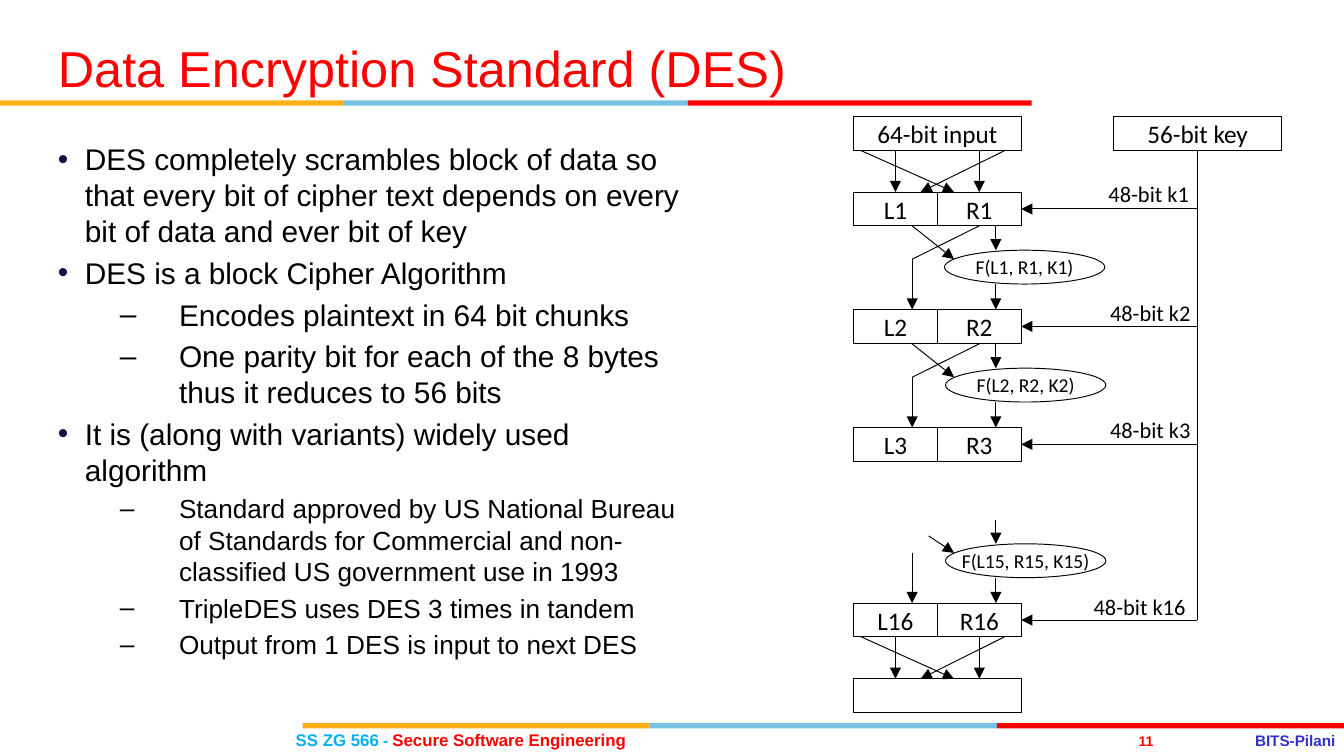
from lxml import etree
from pptx import Presentation
from pptx.dml.color import RGBColor
from pptx.enum.shapes import MSO_CONNECTOR, MSO_SHAPE
from pptx.enum.text import MSO_ANCHOR, MSO_AUTO_SIZE, PP_ALIGN
from pptx.oxml.ns import qn
from pptx.util import Cm, Pt

RECTANGLE = MSO_SHAPE.RECTANGLE
OVAL = MSO_SHAPE.OVAL
STRAIGHT = MSO_CONNECTOR.STRAIGHT
MIDDLE = MSO_ANCHOR.MIDDLE
TOP = MSO_ANCHOR.TOP
NO_FIT = MSO_AUTO_SIZE.NONE
LEFT = PP_ALIGN.LEFT
CENTER = PP_ALIGN.CENTER

BLACK = RGBColor(0x00, 0x00, 0x00)
RED = RGBColor(0xFF, 0x00, 0x00)
AMBER = RGBColor(0xFC, 0xB0, 0x17)
SKY = RGBColor(0x76, 0xC2, 0xE5)
CYAN = RGBColor(0x00, 0xB0, 0xF0)
BLUE = RGBColor(0x33, 0x33, 0xCC)
NAVY = RGBColor(0x10, 0x11, 0x41)

BOX_LEFT, BOX_WIDTH, BOX_HEIGHT = 16.13, 3.17, 0.64
HALF = BOX_WIDTH / 2
BOX_RIGHT = BOX_LEFT + BOX_WIDTH
LEFT_CENTER, RIGHT_CENTER = BOX_LEFT + HALF / 2, BOX_LEFT + HALF * 1.5
INPUT_TOP, OUTPUT_TOP = 2.21, 12.83
KEY_LEFT, KEY_X = 21.05, 22.63
LEFT_X, CROSS_X, RIGHT_X = 17.24, 18.03, 18.82
GAP, OVAL_DROP, BEND_DROP = 1.58, 0.46, 0.63

BULLETS = [
    (0, 16, "DES completely scrambles block of data so that every bit of cipher text "
            "depends on every bit of data and ever bit of key"),
    (0, 16, "DES is a block Cipher Algorithm"),
    (1, 16, "Encodes plaintext in 64 bit chunks"),
    (1, 16, "One parity bit for each of the 8 bytes thus it reduces to 56 bits"),
    (0, 16, "It is (along with variants) widely used algorithm"),
    (1, 14, "Standard approved by US National Bureau of Standards for Commercial and "
            "non-classified US government use in 1993"),
    (1, 14, "TripleDES uses DES 3 times in tandem"),
    (1, 14, "Output from 1 DES is input to next DES"),
]
LEVELS = [("•", NAVY, 0.51, -0.51), ("–", BLACK, 2.29, -1.12)]
ROUNDS = [(1, 3.63, 20.7, 3.28), (2, 5.85, 20.73, 5.53),
          (3, 8.08, 20.73, 7.75), (16, 11.4, 20.42, 11.09)]
FUNCTIONS = [(1, 5.85, 17.85), (2, 8.08, 17.87), (15, 11.4, 17.87)]


class SlideBuilder:
    text_font = "Arial"
    diagram_font = "Calibri"
    line_width = Pt(0.5)

    def __init__(self, presentation):
        self.slide = presentation.slides.add_slide(presentation.slide_layouts[1])
        self.shapes = self.slide.shapes

    def style(self, font, name, size, color, bold=False):
        font.name, font.size, font.bold = name, Pt(size), bold
        font.color.rgb = color

    def place(self, shape, left, top, width, height):
        shape.left, shape.top = Cm(left), Cm(top)
        shape.width, shape.height = Cm(width), Cm(height)

    def title(self, text):
        shape = self.shapes.title
        self.place(shape, 0.84, 0.58, 17.58, 1.57)
        frame = shape.text_frame
        frame.text = text
        frame.auto_size, frame.vertical_anchor = NO_FIT, MIDDLE
        paragraph = frame.paragraphs[0]
        paragraph.alignment, paragraph.line_spacing = LEFT, Pt(27)
        self.style(paragraph.runs[0].font, self.text_font, 27, RED)

    def bullets(self, items):
        shape = self.slide.placeholders[1]
        self.place(shape, 0.84, 2.54, 12.42, 10.62)
        frame = shape.text_frame
        frame.text = "\n".join(text for _, _, text in items)
        frame.auto_size, frame.vertical_anchor = NO_FIT, TOP
        for index, (level, size, _) in enumerate(items):
            paragraph = frame.paragraphs[index]
            mark, color, margin, indent = LEVELS[level]
            paragraph.level = level
            paragraph.line_spacing = 1.0
            paragraph.space_before = Pt(size * 0.2 if index else 0)
            properties = paragraph._p.get_or_add_pPr()
            properties.set("marL", str(Cm(margin)))
            properties.set("indent", str(Cm(indent)))
            bullet_color = etree.SubElement(properties, qn("a:buClr"))
            etree.SubElement(bullet_color, qn("a:srgbClr"), val=str(color))
            etree.SubElement(properties, qn("a:buFont"), typeface=self.text_font)
            etree.SubElement(properties, qn("a:buChar"), char=mark)
            self.style(paragraph.runs[0].font, self.text_font, size, BLACK)

    def bar(self, left, top, width, color):
        shape = self.shapes.add_shape(RECTANGLE, Cm(left), Cm(top), Cm(width), Cm(0.1))
        shape.shadow.inherit = False
        shape.fill.solid()
        shape.fill.fore_color.rgb = color
        shape.line.fill.background()

    def node(self, left, top, width, text="", size=13.5, kind=RECTANGLE):
        shape = self.shapes.add_shape(kind, Cm(left), Cm(top), Cm(width), Cm(BOX_HEIGHT))
        shape.shadow.inherit = False
        shape.fill.background()
        shape.line.color.rgb = BLACK
        shape.line.width = self.line_width
        if text:
            frame = shape.text_frame
            frame.text = text
            frame.word_wrap, frame.vertical_anchor = False, MIDDLE
            paragraph = frame.paragraphs[0]
            paragraph.alignment = CENTER
            self.style(paragraph.runs[0].font, self.diagram_font, size, BLACK)

    def line(self, x1, y1, x2, y2, arrow=True):
        connector = self.shapes.add_connector(STRAIGHT, Cm(x1), Cm(y1), Cm(x2), Cm(y2))
        connector.line.color.rgb = BLACK
        connector.line.width = self.line_width
        if arrow:
            outline = connector.line._get_or_add_ln()
            etree.SubElement(outline, qn("a:tailEnd"), type="triangle")
        etree.SubElement(connector._element.spPr, qn("a:effectLst"))

    def key_label(self, left, top, text):
        frame = self.shapes.add_textbox(Cm(left), Cm(top), Cm(2.35), Cm(0.76)).text_frame
        frame.word_wrap = False
        frame.text = text
        self.style(frame.paragraphs[0].runs[0].font, self.diagram_font, 12, BLACK)

    def footer(self, left, top, width, parts, alignment=LEFT):
        frame = self.shapes.add_textbox(Cm(left), Cm(top), Cm(width), Cm(0.36)).text_frame
        frame.margin_left = frame.margin_right = frame.margin_top = frame.margin_bottom = 0
        frame.word_wrap, frame.vertical_anchor = False, MIDDLE
        paragraph = frame.paragraphs[0]
        paragraph.alignment = alignment
        for text, size, color in parts:
            run = paragraph.add_run()
            run.text = text
            self.style(run.font, self.text_font, size, color, True)

    def swap(self, top, bottom):
        for start, end in [(LEFT_CENTER, LEFT_CENTER), (RIGHT_CENTER, RIGHT_CENTER),
                           (16.28, CROSS_X), (18.98, 17.4)]:
            self.line(start, top, end, bottom)

    def round_function(self, number, next_top, left):
        top = next_top - GAP
        oval_top, bend = top + OVAL_DROP, top + BEND_DROP
        self.node(left, oval_top, 3.03, f"F(L{number}, R{number}, K{number})", 10.5, OVAL)
        self.line(RIGHT_X, top, RIGHT_X, oval_top)
        self.line(RIGHT_X, oval_top + BOX_HEIGHT, RIGHT_X, next_top)
        self.line(LEFT_X, bend, LEFT_X, next_top)
        if number == 15:
            self.line(17.55, top + 0.31, CROSS_X, bend)
        else:
            self.line(LEFT_X, top, CROSS_X, bend)
            self.line(RIGHT_CENTER, top, LEFT_X, bend, arrow=False)


def main():
    presentation = Presentation()
    presentation.slide_width, presentation.slide_height = Cm(25.4), Cm(14.29)
    builder = SlideBuilder(presentation)

    for left, top, width in [(0, 1.9, 6.5), (5.72, 13.67, 6.56)]:
        for index, color in enumerate([AMBER, SKY, RED]):
            builder.bar(left + index * width, top, width, color)
    builder.footer(23.72, 13.82, 1.63, [("BITS-Pilani", 8.2, BLUE)])
    builder.footer(21.34, 13.83, 0.64, [("11", 7.5, RED)], CENTER)
    builder.footer(5.59, 13.81, 7.01, [("SS ZG 566", 9, CYAN), (" - ", 8.2, CYAN),
                                       ("Secure Software Engineering", 9, RED)])
    builder.title("Data Encryption Standard (DES)")
    builder.bullets(BULLETS)

    builder.node(BOX_LEFT, INPUT_TOP, BOX_WIDTH, "64-bit input")
    builder.node(KEY_LEFT, INPUT_TOP, BOX_WIDTH, "56-bit key")
    builder.node(BOX_LEFT, OUTPUT_TOP, BOX_WIDTH)
    for number, top, label_left, label_top in ROUNDS:
        middle = top + BOX_HEIGHT / 2
        builder.node(BOX_LEFT, top, HALF, f"L{number}")
        builder.node(BOX_LEFT + HALF, top, HALF, f"R{number}")
        builder.line(KEY_X, middle, BOX_RIGHT, middle)
        builder.key_label(label_left, label_top, f"48-bit k{number}")
    first_top, last_top = ROUNDS[0][1], ROUNDS[-1][1]
    builder.line(KEY_X, last_top + BOX_HEIGHT / 2, KEY_X, INPUT_TOP + BOX_HEIGHT, arrow=False)
    builder.swap(INPUT_TOP + BOX_HEIGHT, first_top)
    builder.swap(last_top + BOX_HEIGHT, OUTPUT_TOP)
    for number, next_top, left in FUNCTIONS:
        builder.round_function(number, next_top, left)

    presentation.save("out.pptx")


if __name__ == "__main__":
    main()
